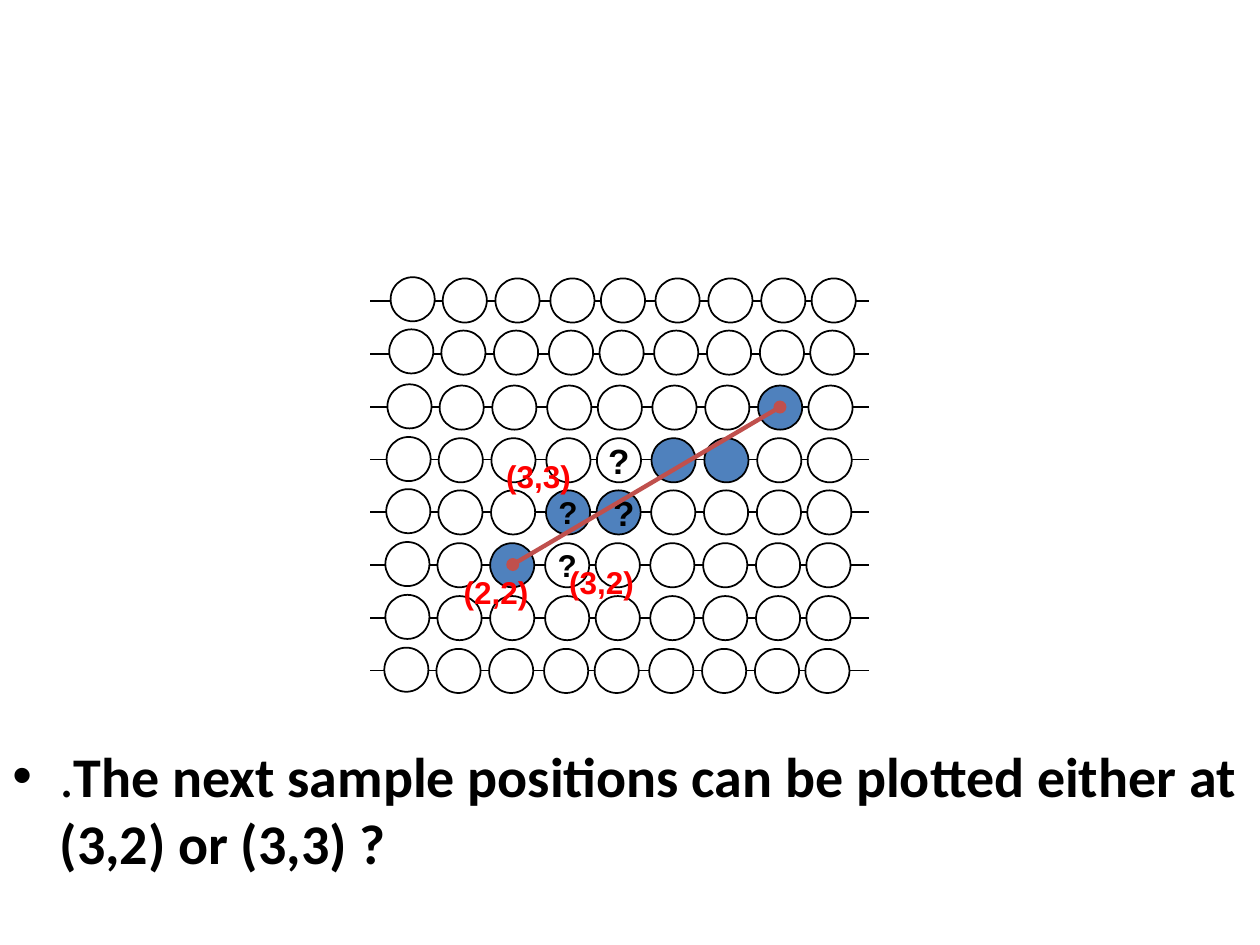
import pptx
import pptx.dml.color
import pptx.enum.shapes
import pptx.enum.text
import pptx.oxml.ns
import pptx.util
from lxml import etree

Pt = pptx.util.Pt
COLORS = {"black": "000000", "white": "FFFFFF", "pixel": "4F81BD",
          "line": "C0504D", "label": "FF0000"}

CIRCLE = 25.2
ROW_STEP = 30.15
ROW_SHIFTS = [11.5, 10.7, 9.7, 9.2, 9, 8.5, 8.5, 7.9]
ROW_TOPS = [0.7, 30.5, 61.9, 92, 121.8, 152, 182.2, 212.4]
COLUMN_OFFSETS = [0, 29.8, 59.9, 91.3, 120.2, 151.4, 181.6, 211.8, 240.6]
FILLED = {(2, 7), (3, 5), (3, 6), (4, 3), (4, 4), (5, 2)}
# (row, column): (text size, left inset that nudges the mark sideways)
QUESTIONS = {(3, 4): (20, 0), (4, 3): (18, 0), (4, 4): (20, 6), (5, 3): (18, 0)}
LABELS = [("(2,2)", 46.1, 165.6), ("(3,2)", 106.5, 159.8), ("(3,3)", 70.5, 99.4)]


def color(name):
    """Return the named colour."""
    return pptx.dml.color.RGBColor.from_string(COLORS[name])


def add_run(paragraph, text, size, font="Arial", color_name="black", bold=True):
    """Add one formatted run."""
    run = paragraph.add_run()
    run.text = text
    run.font.name, run.font.size, run.font.bold = font, Pt(size), bold
    run.font.color.rgb = color(color_name)


def add_line(slide, start, end, color_name, width, oval_ends=False):
    """Draw a straight line, with dots at its ends on request."""
    connector = slide.shapes.add_connector(
        pptx.enum.shapes.MSO_CONNECTOR.STRAIGHT, *map(Pt, start + end))
    connector.line.color.rgb = color(color_name)
    connector.line.width = Pt(width)
    if oval_ends:
        outline = connector.line._get_or_add_ln()
        for end_name in ("a:headEnd", "a:tailEnd"):
            etree.SubElement(outline, pptx.oxml.ns.qn(end_name), type="oval")
    etree.SubElement(connector._element.spPr, pptx.oxml.ns.qn("a:effectLst"))


def add_circle(slide, left, top, filled, question=None):
    """Draw one pixel circle, with a question mark on request."""
    shape = slide.shapes.add_shape(pptx.enum.shapes.MSO_SHAPE.OVAL,
                                   Pt(left), Pt(top), Pt(CIRCLE), Pt(CIRCLE))
    shape.shadow.inherit = False
    shape.fill.solid()
    shape.fill.fore_color.rgb = color("pixel" if filled else "white")
    shape.line.color.rgb = color("black")
    shape.line.width = Pt(1)
    if question:
        size, inset = question
        frame = shape.text_frame
        frame.word_wrap = False
        frame.margin_left, frame.margin_right = Pt(inset), 0
        frame.margin_top = frame.margin_bottom = 0
        frame.vertical_anchor = pptx.enum.text.MSO_ANCHOR.MIDDLE
        paragraph = frame.paragraphs[0]
        paragraph.alignment = pptx.enum.text.PP_ALIGN.CENTER
        add_run(paragraph, "?", size)


def add_pixel_grid(slide, left, top, width):
    """Draw the scan lines, pixels, sampled line and coordinate labels."""
    for row in range(len(ROW_TOPS)):
        y = top + 13.7 + row * ROW_STEP
        add_line(slide, (left, y), (left + width, y), "black", 1)
    for row, (shift, row_top) in enumerate(zip(ROW_SHIFTS, ROW_TOPS)):
        for column, offset in enumerate(COLUMN_OFFSETS):
            raised = 0.7 if column == 0 else 0
            add_circle(slide, left + shift + offset, top + row_top - raised,
                       (row, column) in FILLED, QUESTIONS.get((row, column)))
    add_line(slide, (left + 81.3, top + 164.2), (left + 234, top + 74.2),
             "line", 2.5, oval_ends=True)
    for text, x, y in LABELS:
        box = slide.shapes.add_textbox(Pt(left + x), Pt(top + y), Pt(51.5), Pt(29))
        box.text_frame.word_wrap = False
        add_run(box.text_frame.paragraphs[0], text, 18, color_name="label")


def add_caption(slide, left, top, width, height):
    """Write the bulleted caption."""
    box = slide.shapes.add_textbox(Pt(left), Pt(top), Pt(width), Pt(height))
    box.text_frame.word_wrap = True
    paragraph = box.text_frame.paragraphs[0]
    paragraph.space_before = Pt(6.4)
    properties = paragraph._p.get_or_add_pPr()
    properties.set("marL", str(Pt(27)))
    properties.set("indent", str(Pt(-27)))
    etree.SubElement(properties, pptx.oxml.ns.qn("a:buFont"), typeface="Arial")
    etree.SubElement(properties, pptx.oxml.ns.qn("a:buChar"), char="\u2022")
    add_run(paragraph, ".", 32, "Calibri", bold=False)
    add_run(paragraph, "The next sample positions can be plotted either at "
                       "(3,2) or (3,3) ?", 32, "Calibri")


presentation = pptx.Presentation()
presentation.slide_width, presentation.slide_height = Pt(720), Pt(540)
slide = presentation.slides.add_slide(presentation.slide_layouts[6])
add_caption(slide, 0, 420, 720, 120)
add_pixel_grid(slide, 211.7, 158.4, 285.1)
presentation.save("out.pptx")
